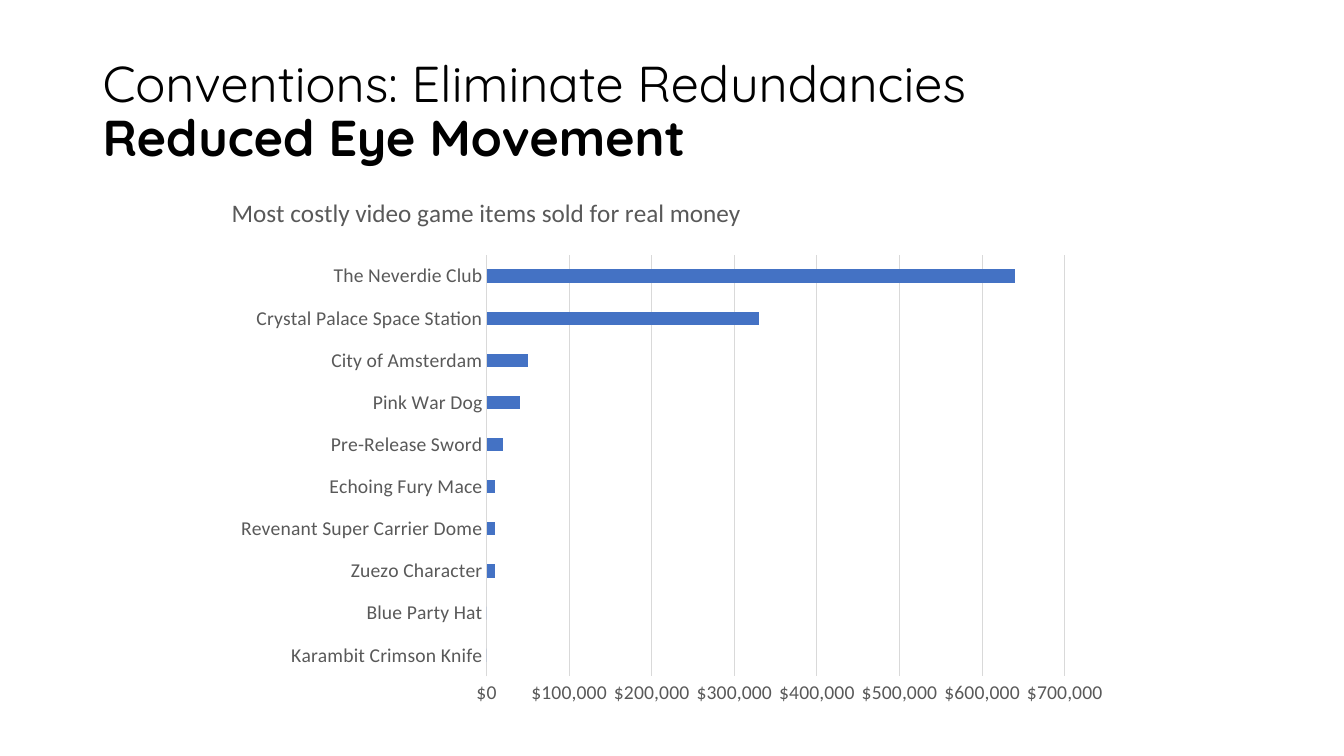
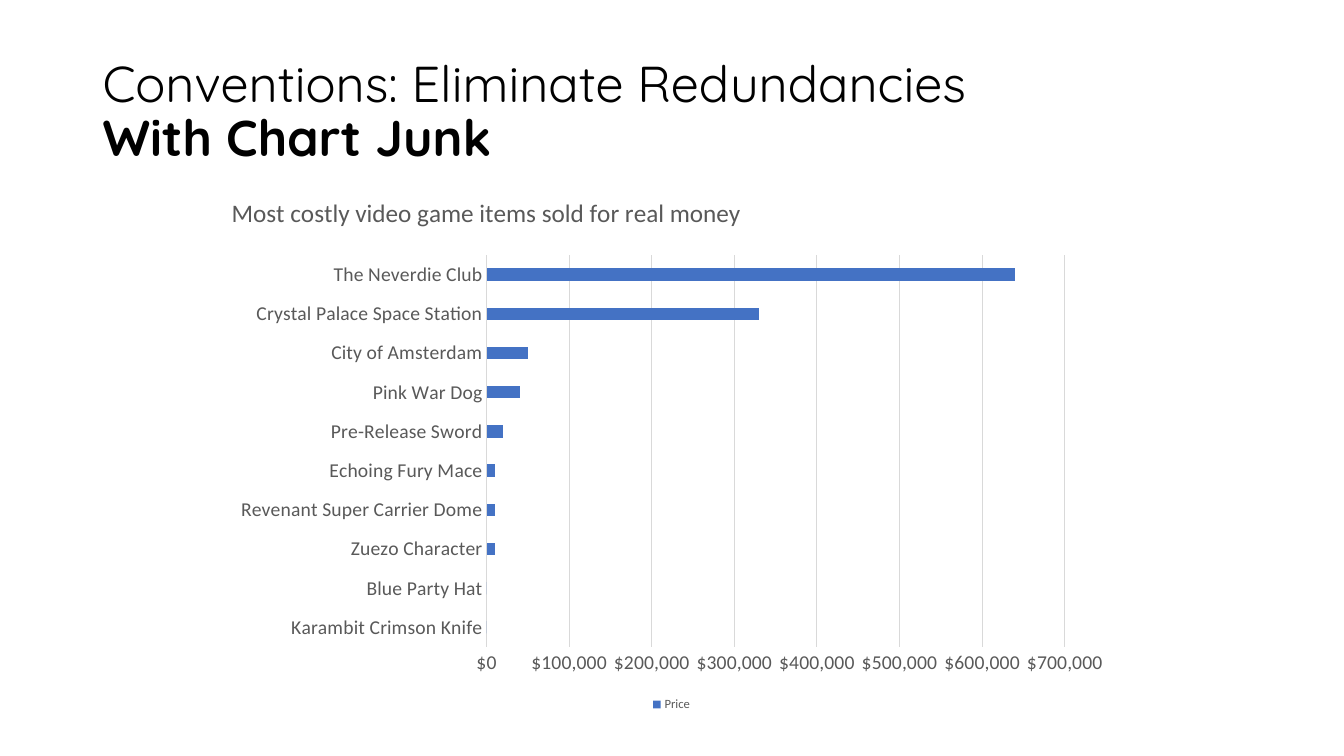
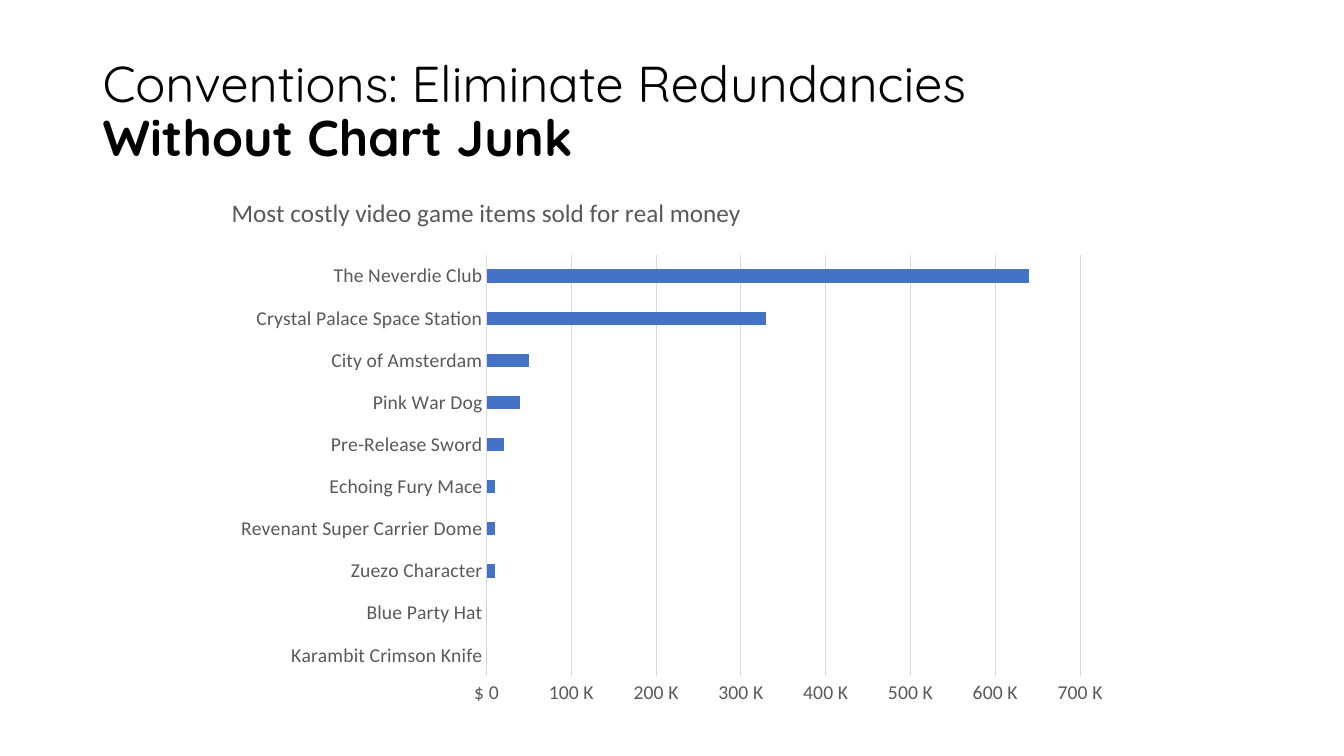
"""Build three slides that compare versions of one bar chart."""
from lxml import etree
from pptx import Presentation
from pptx.chart.data import CategoryChartData
from pptx.dml.color import RGBColor
from pptx.enum.chart import XL_CHART_TYPE, XL_LEGEND_POSITION, XL_TICK_MARK
from pptx.enum.text import MSO_ANCHOR, MSO_AUTO_SIZE, PP_ALIGN
from pptx.oxml.ns import qn
from pptx.util import Cm, Pt

BAR = XL_CHART_TYPE.BAR_CLUSTERED
BOTTOM = XL_LEGEND_POSITION.BOTTOM
NO_TICK = XL_TICK_MARK.NONE
MIDDLE = MSO_ANCHOR.MIDDLE
NO_FIT = MSO_AUTO_SIZE.NONE
LEFT = PP_ALIGN.LEFT

BLACK, GREY, RULE, BLUE = "000000", "595959", "D9D9D9", "4472C4"
HEAD = "Conventions: Eliminate Redundancies"
TOPIC = "Most costly video game items sold for real money"
DOLLARS = '"$"#,##0'
SHORT = r'[<1]"$"\ #0;[>99000]#,\ "K"'

ITEMS = [
    ("Karambit Crimson Knife", 0),
    ("Blue Party Hat", 0),
    ("Zuezo Character", 10000),
    ("Revenant Super Carrier Dome", 10000),
    ("Echoing Fury Mace", 10000),
    ("Pre-Release Sword", 20000),
    ("Pink War Dog", 40000),
    ("City of Amsterdam", 50000),
    ("Crystal Palace Space Station", 330000),
    ("The Neverdie Club", 640000),
]
SLIDES = [
    ("Reduced Eye Movement", "Series 1", DOLLARS, False, 64.4, 79),
    ("With Chart Junk", "Price", DOLLARS, True, 64.4, 73.5),
    ("Without Chart Junk", "Series 1", SHORT, False, 66.1, 79),
]


def style(font, size, color, name="Calibri"):
    """Set the size, colour and face of a font."""
    font.size, font.name = Pt(size), name
    font.color.rgb = RGBColor.from_string(color)


def place(part, index, modes, **shares):
    """Lay out a chart part by hand, in percent of the chart."""
    for old in part.findall(qn("c:layout")):
        part.remove(old)
    layout = etree.Element(qn("c:layout"))
    manual = etree.SubElement(layout, qn("c:manualLayout"))
    for tag, mode in modes.items():
        etree.SubElement(manual, qn("c:" + tag), val=mode)
    for tag, share in shares.items():
        etree.SubElement(manual, qn("c:" + tag), val=str(share / 100))
    part.insert(index, layout)


EDGE = {"xMode": "edge", "yMode": "edge"}
INNER = {"layoutTarget": "inner", **EDGE}

deck = Presentation()
deck.slide_width, deck.slide_height = Cm(33.87), Cm(19.05)

for sub, series, code, legend, width, height in SLIDES:
    slide = deck.slides.add_slide(deck.slide_layouts[5])
    title = slide.shapes.title
    title.left, title.top = Cm(2.33), Cm(1.01)
    title.width, title.height = Cm(29.21), Cm(3.68)
    frame = title.text_frame
    frame.vertical_anchor, frame.auto_size = MIDDLE, NO_FIT
    para = frame.paragraphs[0]
    para.alignment, para.line_spacing = LEFT, 0.9
    style(para.font, 36, BLACK, "Quicksand")
    para.add_run().text = HEAD
    para.add_line_break()
    run = para.add_run()
    run.text, run.font.bold = sub, True

    data = CategoryChartData()
    data.categories = [item.replace(" ", chr(160)) for item, price in ITEMS]
    data.add_series(series, [price for item, price in ITEMS])
    chart = slide.shapes.add_chart(
        BAR, Cm(5.61), Cm(4.6), Cm(22.63), Cm(13.44), data).chart
    style(chart.font, 10, BLACK)

    chart.has_title = True
    para = chart.chart_title.text_frame.paragraphs[0]
    para.text = TOPIC
    style(para.font, 18, GREY)
    para.font.bold = False

    plot = chart.plots[0]
    plot.gap_width, plot.vary_by_categories = 219, False
    fill = plot.series[0].format.fill
    fill.solid()
    fill.fore_color.rgb = RGBColor.from_string(BLUE)

    names, prices = chart.category_axis, chart.value_axis
    for axis in (names, prices):
        axis.major_tick_mark = axis.minor_tick_mark = NO_TICK
        style(axis.tick_labels.font, 14, GREY)
    prices.minimum_scale, prices.maximum_scale = 0, 700000
    prices.major_unit = 100000
    prices.tick_labels.number_format = code
    prices.tick_labels.number_format_is_linked = False
    prices.format.line.fill.background()
    for line in (names.format.line, prices.major_gridlines.format.line):
        line.width = Pt(0.75)
        line.color.rgb = RGBColor.from_string(RULE)

    chart.has_legend = legend
    if legend:
        chart.legend.position = BOTTOM
        chart.legend.include_in_layout = False
        style(chart.legend.font, 9, GREY)

    root = chart.element
    place(root.find(".//" + qn("c:title")), 1, EDGE, x=0.5, y=1.5)
    place(root.find(".//" + qn("c:plotArea")), 0, INNER,
          x=29.4, y=13.6, w=width, h=height)

deck.save("out.pptx")
